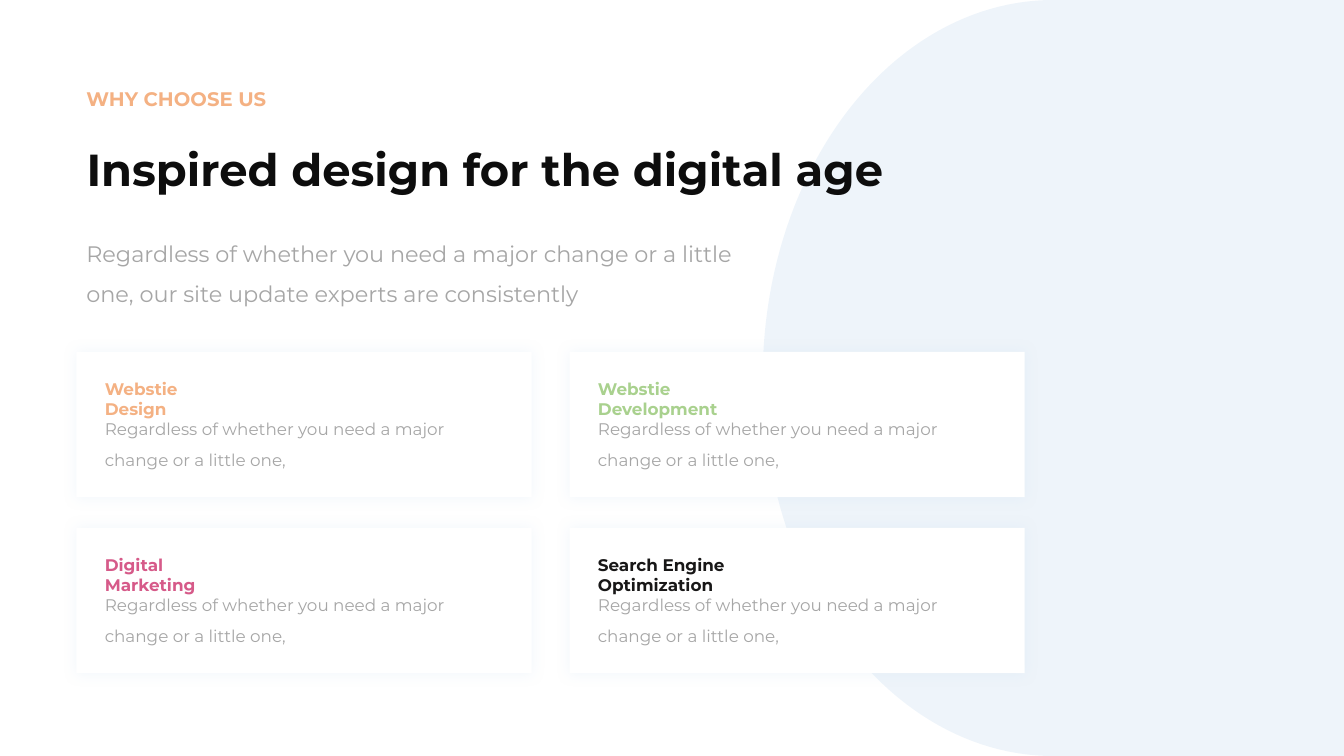
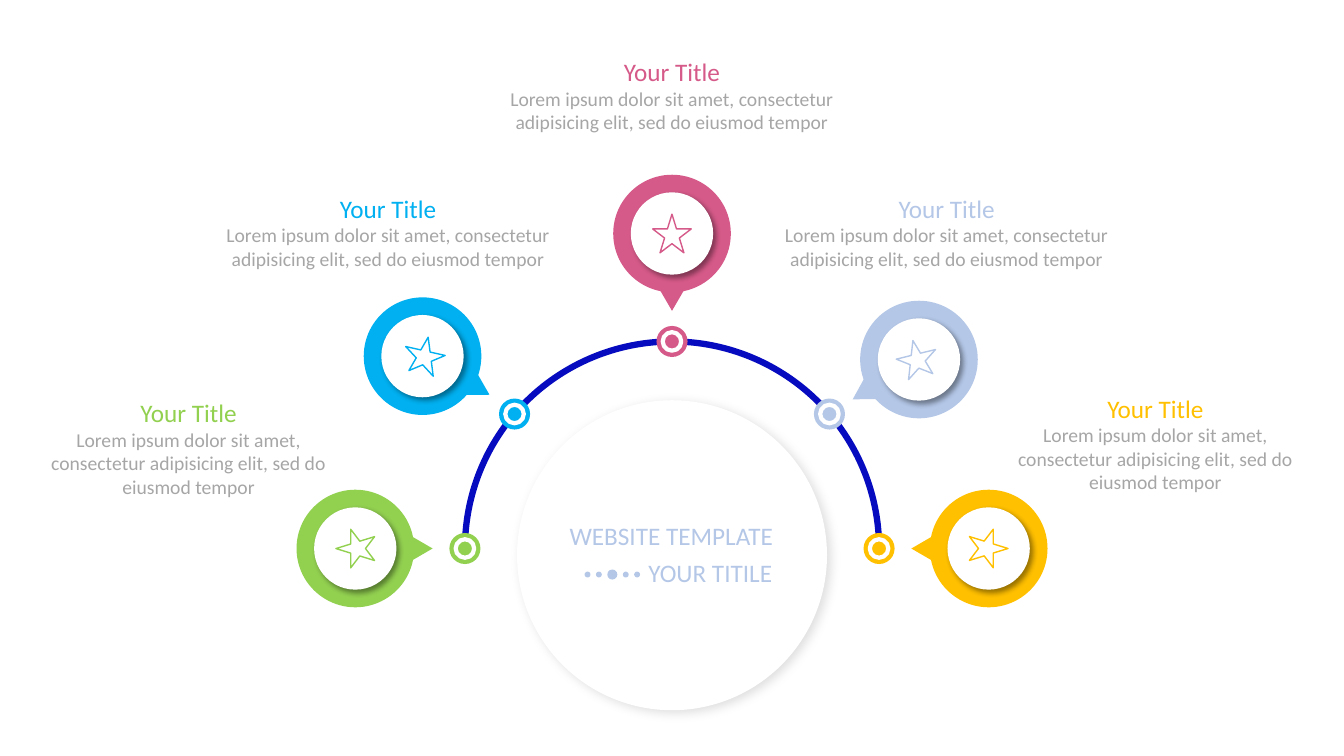
import math

from lxml import etree
from pptx import Presentation
from pptx import util as u
from pptx.dml.color import RGBColor
from pptx.enum import shapes, text
from pptx.oxml.ns import qn

COLS, ROWS = 160, 90
WIDTH, HEIGHT = u.Inches(13.33), u.Inches(7.5)
WHITE, GRAY, INK, BLACK = "FFFFFF", "A6A6A6", "0D0D0D", "181717"
PEACH, LEAF, PINK = "F4B183", "A9D18E", "D65A89"
LIME, SKY, LAVENDER, AMBER = "92D050", "00B0F0", "B4C7E7", "FFC000"
SHAPE, ALIGN = shapes.MSO_SHAPE, text.PP_ALIGN
HEAVY, LIGHT = "Montserrat", "Calibri"

# colour, opacity %, blur pt, distance pt, direction in degrees
CARD_SHADOW = ("BDD7EE", 20, 10, 0, 90)
DISC_SHADOW = ("000000", 13, 8, 3, 37)
PIN_SHADOW = ("000000", 40, 4, 3, 45)


def rgb(code):
    return RGBColor.from_string(code)


def style(obj, **values):
    for name, value in values.items():
        setattr(obj, name, value)


class Deck:
    """Places elements on a grid of 160 x 90 square cells."""

    def __init__(self):
        self.prs = Presentation()
        style(self.prs, slide_width=WIDTH, slide_height=HEIGHT)
        self.s = None

    def new_slide(self):
        self.s = self.prs.slides.add_slide(self.prs.slide_layouts[5])

    def box(self, x, y, w, h):
        return [round(v) for v in (x * WIDTH / COLS, y * HEIGHT / ROWS,
                                   w * WIDTH / COLS, h * HEIGHT / ROWS)]

    def fill_text(self, sp, paragraphs, align=ALIGN.LEFT):
        """Fill a frame from (words, format) pairs."""
        tf = sp.text_frame
        style(tf, word_wrap=True, auto_size=text.MSO_AUTO_SIZE.NONE,
              vertical_anchor=text.MSO_ANCHOR.TOP)
        for i, (words, fmt) in enumerate(paragraphs):
            p = tf.add_paragraph() if i else tf.paragraphs[0]
            style(p, alignment=align, line_spacing=fmt.get("spacing", 1.0))
            r = p.add_run()
            r.text = words
            style(r.font, size=u.Pt(fmt["size"]), name=fmt["name"],
                  bold=fmt.get("bold", False))
            r.font.color.rgb = rgb(fmt["color"])

    def title(self, words, x, y, w, h, **fmt):
        """Format the title placeholder and bring it to the front."""
        sp = self.s.shapes.title
        style(sp, **dict(zip(("left", "top", "width", "height"),
                             self.box(x, y, w, h))))
        self.fill_text(sp, [(words, fmt)])
        self.s.shapes.element.append(sp.element)

    def text(self, x, y, w, h, *paragraphs, align=ALIGN.LEFT):
        sp = self.s.shapes.add_textbox(*self.box(x, y, w, h))
        self.fill_text(sp, paragraphs, align)

    def shape(self, kind, x, y, w, h, fill=None, line=None, weight=1,
              rotation=0, alpha=None, shadow=None):
        sp = self.s.shapes.add_shape(kind, *self.box(x, y, w, h))
        style(sp, rotation=rotation)
        sp.shadow.inherit = False
        if fill:
            sp.fill.solid()
            sp.fill.fore_color.rgb = rgb(fill)
        else:
            sp.fill.background()
        if line:
            sp.line.color.rgb = rgb(line)
            sp.line.width = u.Pt(weight)
        else:
            sp.line.fill.background()
        if alpha:
            self.opacity(sp.element.find(".//" + qn("a:srgbClr")), alpha)
        if shadow:
            self.shade(sp, *shadow)
        return sp

    def centred(self, kind, cx, cy, w, h=None, **fmt):
        h = h or w
        return self.shape(kind, cx - w / 2, cy - h / 2, w, h, **fmt)

    def opacity(self, color, percent):
        etree.SubElement(color, qn("a:alpha"), val=str(percent * 1000))

    def shade(self, sp, color, percent, blur, distance, angle):
        effects = sp.element.spPr.find(qn("a:effectLst"))
        outer = etree.SubElement(
            effects, qn("a:outerShdw"), blurRad=str(u.Pt(blur)),
            dist=str(u.Pt(distance)), dir=str(angle * 60000),
            algn="ctr", rotWithShape="0")
        self.opacity(etree.SubElement(outer, qn("a:srgbClr"), val=color), percent)

    def card(self, x, y, heading, color, body):
        self.shape(SHAPE.RECTANGLE, x, y, 54.2, 17.3, fill=WHITE,
                   shadow=CARD_SHADOW)
        self.text(x + 2.2, y + 2.55, 17.8, 5,
                  (heading, dict(size=12, name=HEAVY, color=color, bold=True)))
        self.text(x + 2.2, y + 6.2, 47.3, 8.5,
                  (body, dict(size=12, name=HEAVY, color=GRAY, spacing=1.5)))

    def pin(self, cx, cy, color, heading):
        """Draw a ring with a star and a tip; heading is clockwise from up."""
        turn = math.radians(heading)
        self.centred(SHAPE.OVAL, cx, cy, 14, fill=color)
        self.centred(SHAPE.OVAL, cx, cy, 9.8, fill=WHITE, shadow=PIN_SHADOW)
        self.centred(SHAPE.STAR_5_POINT, cx, cy, 4.6, line=color,
                     rotation=heading - 180)
        self.centred(SHAPE.ISOSCELES_TRIANGLE, cx + 7.65 * math.sin(turn),
                     cy - 7.65 * math.cos(turn), 3.6, 3.1, fill=color,
                     rotation=heading)

    def marker(self, cx, cy, color):
        self.centred(SHAPE.OVAL, cx, cy, 3.7, fill=color)
        self.centred(SHAPE.OVAL, cx, cy, 2.2, fill=color, line=WHITE, weight=3)


def why_choose_us(deck):
    deck.new_slide()
    left = 9.1
    deck.shape(SHAPE.FLOWCHART_DELAY, 90.8, 0, 69.2, 90, fill="5B9BD5",
               alpha=10, rotation=180)
    deck.text(left, 9.8, 26, 4.1,
              ("WHY CHOOSE US", dict(size=14, name=HEAVY, color=PEACH, bold=True)))
    deck.title("Inspired design for the digital age", left, 16.3, 100, 7.7,
               size=32, name=HEAVY, color=INK, bold=True)
    deck.text(left, 26.4, 80.6, 10.9,
              ("Regardless of whether you need a major change or a little one, "
               "our site update experts are consistently",
               dict(size=16, name=HEAVY, color=GRAY, spacing=1.5)))
    services = [("Webstie Design", PEACH), ("Webstie Development", LEAF),
                ("Digital Marketing", PINK), ("Search Engine Optimization", BLACK)]
    for i, (heading, color) in enumerate(services):
        row, col = divmod(i, 2)
        deck.card(left + col * 58.7, 41.9 + row * 20.95, heading, color,
                  "Regardless of whether you need a major change or a little one,")


def arc_of_pins(deck):
    deck.new_slide()
    cx, cy, radius = 80, 65.3, 24.65
    deck.centred(SHAPE.OVAL, cx, 66.1, 36.9, fill=WHITE, shadow=DISC_SHADOW)
    arc = deck.centred(SHAPE.ARC, cx, cy, 2 * radius, line="070BBF", weight=4.5)
    arc.adjustments[0], arc.adjustments[1] = 108, 0  # 180 and 0 degrees

    # colour, marker angle, pin centre, pin heading, caption left, top, width
    stops = [(LIME, 180, (42.3, 65.3), 90, (4.4, 46.7, 36.1)),
             (SKY, 139.5, (50.3, 42.4), 120, (25.1, 22.4, 42.2)),
             (PINK, 90, (80, 27.8), 180, (58.9, 6.1, 42.2)),
             (LAVENDER, 40.5, (109.4, 42.8), 239, (91.6, 22.4, 42.2)),
             (AMBER, 0, (117.7, 65.3), 270, (119.5, 46.2, 36.1))]
    for color, angle, centre, heading, (x, y, w) in stops:
        turn = math.radians(angle)
        deck.marker(cx + radius * math.cos(turn), cy - radius * math.sin(turn), color)
        deck.pin(*centre, color, heading)
        deck.text(x, y, w, 13.3,
                  ("Your Title", dict(size=18, name=LIGHT, color=color)),
                  ("Lorem ipsum dolor sit amet, consectetur adipisicing elit, "
                   "sed do eiusmod tempor", dict(size=14, name=LIGHT, color=GRAY)),
                  align=ALIGN.CENTER)

    label = dict(size=18, name=LIGHT, color=LAVENDER)
    deck.title("WEBSITE TEMPLATE", 66.6, 61.4, 28, 4.8, **label)
    deck.text(76, 65.8, 19, 4.8, ("YOUR TITILE", label))
    x = 69.6
    for size in (0.7, 0.7, 1.2, 0.7, 0.7):
        deck.centred(SHAPE.OVAL, x + size / 2, 68.4, size, fill=LAVENDER)
        x += size + 0.65


def main():
    deck = Deck()
    why_choose_us(deck)
    arc_of_pins(deck)
    deck.prs.save("out.pptx")


if __name__ == "__main__":
    main()
